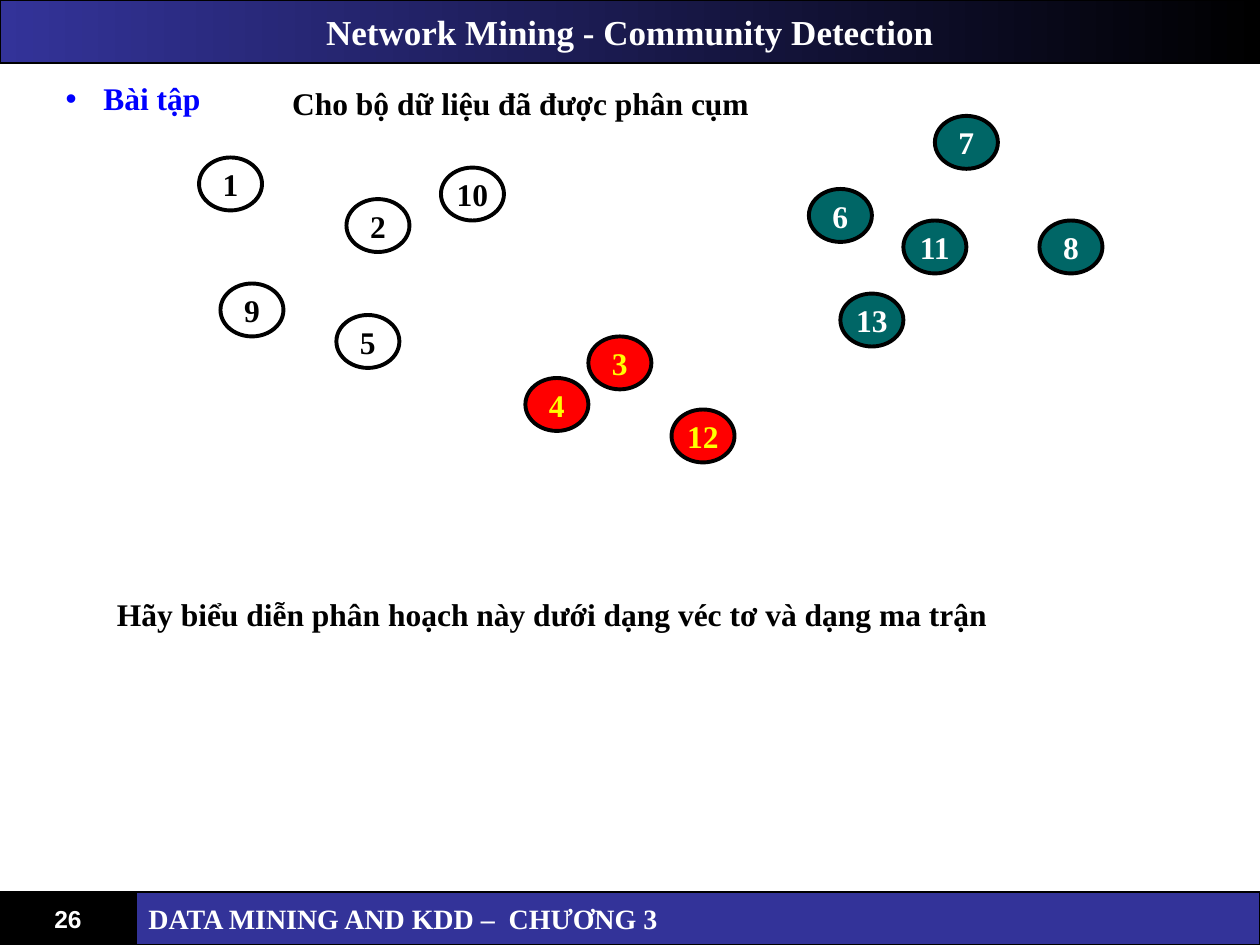
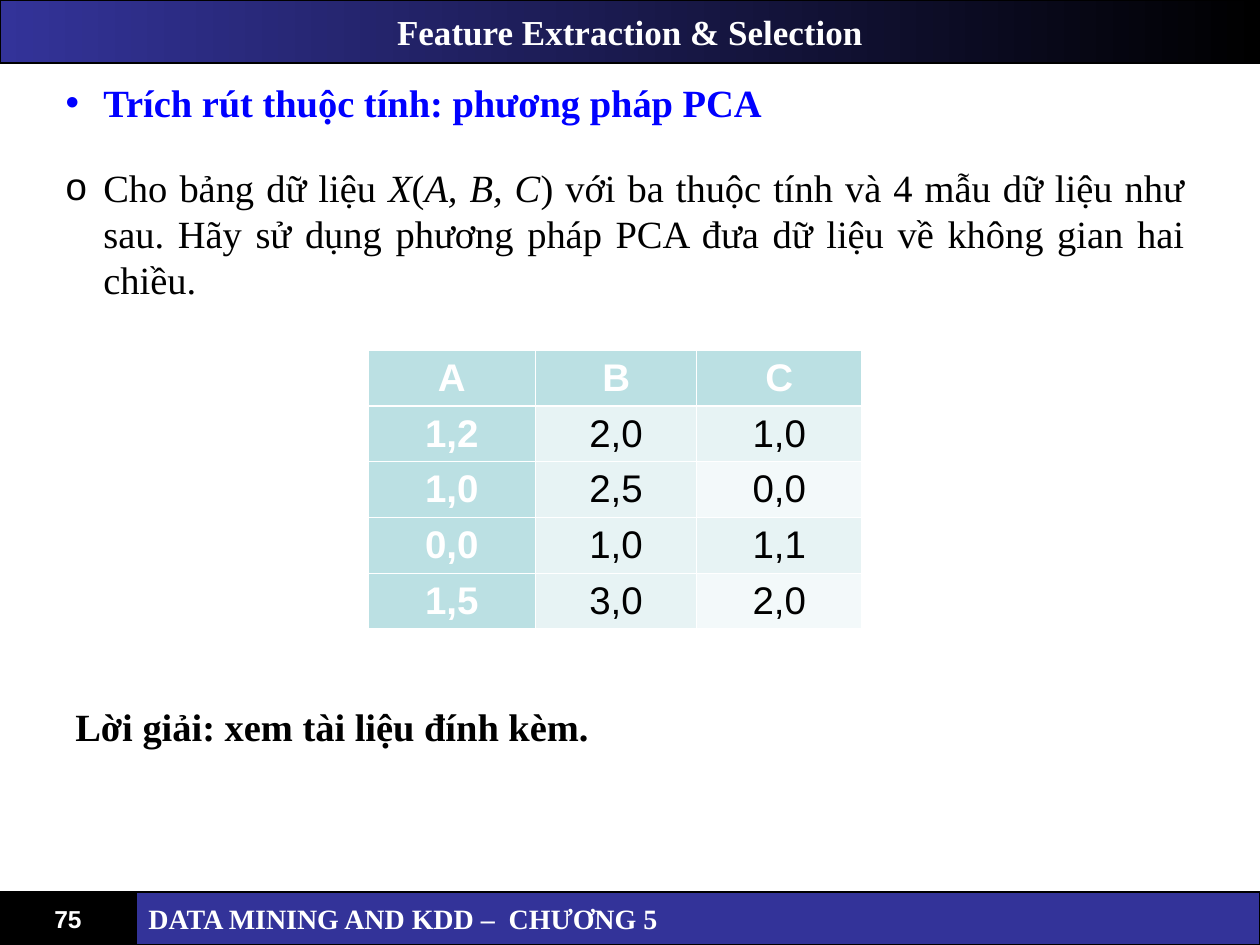
"""Build two data mining lecture slides: a clustering exercise and a PCA exercise."""
import pptx
import pptx.dml.color
import pptx.enum.shapes
import pptx.enum.text
import pptx.oxml.ns
import pptx.util
from lxml import etree

Inches = pptx.util.Inches
Pt = pptx.util.Pt
RGBColor = pptx.dml.color.RGBColor
ALIGN = pptx.enum.text.PP_ALIGN
ANCHOR = pptx.enum.text.MSO_ANCHOR
SHAPE = pptx.enum.shapes.MSO_SHAPE
qn = pptx.oxml.ns.qn

BLACK = RGBColor(0x00, 0x00, 0x00)
WHITE = RGBColor(0xFF, 0xFF, 0xFF)
INDIGO = RGBColor(0x33, 0x33, 0x99)
BLUE = RGBColor(0x00, 0x00, 0xFF)
RED = RGBColor(0xFF, 0x00, 0x00)
YELLOW = RGBColor(0xFF, 0xFF, 0x00)
TEAL = RGBColor(0x00, 0x66, 0x66)
TABLE_HEAD = RGBColor(0xBB, 0xE0, 0xE3)
TABLE_BAND = RGBColor(0xE7, 0xF3, 0xF4)
TABLE_PLAIN = RGBColor(0xF3, 0xF9, 0xFA)
SERIF = "Times New Roman"
SANS = "Arial"
BULLET_INDENT = Inches(0.3)


def write(frame, text, size=18, font=SERIF, color=BLACK, bold=True, align=ALIGN.LEFT,
          anchor=ANCHOR.TOP, wrap=True, bullet=None):
    """Fill a text frame with one paragraph; text between asterisks is italic."""
    frame.auto_size = pptx.enum.text.MSO_AUTO_SIZE.NONE
    frame.word_wrap = wrap
    frame.vertical_anchor = anchor
    paragraph = frame.paragraphs[0]
    if bullet:
        properties = paragraph._p.get_or_add_pPr()
        properties.set("marL", str(BULLET_INDENT))
        properties.set("indent", str(-BULLET_INDENT))
        bullet_color = etree.SubElement(properties, qn("a:buClr"))
        etree.SubElement(bullet_color, qn("a:srgbClr"), val=str(color))
        etree.SubElement(properties, qn("a:buFont"), typeface=SANS)
        etree.SubElement(properties, qn("a:buChar"), char=bullet)
    paragraph.alignment = align
    paragraph.space_before = Pt(0)
    for index, piece in enumerate(text.split("*")):
        run = paragraph.add_run()
        run.text = piece
        run.font.size = Pt(size)
        run.font.name = font
        run.font.bold = bold
        run.font.italic = index % 2 == 1
        run.font.color.rgb = color


def place(shape, left, top, width, height):
    """Move and size a shape, in inches."""
    shape.left, shape.top = Inches(left), Inches(top)
    shape.width, shape.height = Inches(width), Inches(height)


presentation = pptx.Presentation()
presentation.slide_width = Inches(10)
presentation.slide_height = Inches(7.5)

slides = []
for layout, number, title_text, chapter, heading, heading_size in [
    (1, "26", "Network Mining - Community Detection", 3, "Bài tập", 18),
    (3, "75", "Feature Extraction & Selection", 5, "Trích rút thuộc tính: phương pháp PCA", 22),
]:
    slide = presentation.slides.add_slide(presentation.slide_layouts[layout])
    slides.append(slide)

    title = slide.shapes.title
    place(title, 0, 0, 10, 0.5)
    title.fill.gradient()
    title.fill.gradient_angle = 0
    for stop, color in zip(title.fill.gradient_stops, (INDIGO, BLACK)):
        stop.color.rgb = color
    title.line.color.rgb = BLACK
    title.line.width = Pt(0.75)
    write(title.text_frame, title_text, size=20, color=WHITE,
          align=ALIGN.CENTER, anchor=ANCHOR.MIDDLE)

    body = slide.placeholders[1]
    place(body, 0.42, 0.58, 9.17, 0.47)
    write(body.text_frame, heading, size=heading_size, color=BLUE, bullet="•")

    for left, width, fill, text, size, font, align in [
        (0, 1.08, BLACK, number, 14, SANS, ALIGN.CENTER),
        (1.08, 8.92, INDIGO, f"DATA MINING AND KDD –  CHƯƠNG {chapter}", 16, SERIF, ALIGN.LEFT),
    ]:
        band = slide.shapes.add_shape(SHAPE.RECTANGLE, Inches(left), Inches(7.08),
                                      Inches(width), Inches(0.42))
        band.shadow.inherit = False
        band.fill.solid()
        band.fill.fore_color.rgb = fill
        band.line.color.rgb = BLACK
        band.line.width = Pt(0.75)
        write(band.text_frame, text, size=size, font=font, color=WHITE,
              align=align, anchor=ANCHOR.MIDDLE)

cluster_slide, pca_slide = slides

clusters = [
    (None, BLACK, {1: (1.58, 1.25), 9: (1.75, 2.25), 2: (2.75, 1.58),
                   10: (3.5, 1.33), 5: (2.67, 2.5)}),
    (RED, YELLOW, {12: (5.33, 3.25), 4: (4.17, 3), 3: (4.67, 2.67)}),
    (TEAL, WHITE, {13: (6.67, 2.33), 7: (7.42, 0.92), 6: (6.42, 1.5),
                   8: (8.25, 1.75), 11: (7.17, 1.75)}),
]
for fill, text_color, nodes in clusters:
    for label, (left, top) in nodes.items():
        node = cluster_slide.shapes.add_shape(SHAPE.OVAL, Inches(left), Inches(top),
                                              Inches(0.5), Inches(0.42))
        node.shadow.inherit = False
        if fill is None:
            node.fill.background()
        else:
            node.fill.solid()
            node.fill.fore_color.rgb = fill
        node.line.color.rgb = BLACK
        node.line.width = Pt(2.25)
        write(node.text_frame, str(label), color=text_color, align=ALIGN.CENTER,
              anchor=ANCHOR.MIDDLE, wrap=False)

for left, top, width, text in [
    (2.22, 0.62, 3.82, "Cho bộ dữ liệu đã được phân cụm"),
    (0.83, 4.67, 7.11, "Hãy biểu diễn phân hoạch này dưới dạng véc tơ và dạng ma trận"),
]:
    caption = cluster_slide.shapes.add_textbox(Inches(left), Inches(top),
                                               Inches(width), Inches(0.4))
    write(caption.text_frame, text, wrap=False)

exercise = pca_slide.placeholders[2]
place(exercise, 0.42, 1.25, 9.08, 1.2)
write(exercise.text_frame,
      "Cho bảng dữ liệu *X*(*A, B, C*) với ba thuộc tính và 4 mẫu dữ liệu như sau. "
      "Hãy sử dụng phương pháp PCA đưa dữ liệu về không gian hai chiều.",
      size=22, bold=False, align=ALIGN.JUSTIFY, anchor=ANCHOR.MIDDLE, bullet="o")

samples = [
    ("A", "B", "C"),
    ("1,2", "2,0", "1,0"),
    ("1,0", "2,5", "0,0"),
    ("0,0", "1,0", "1,1"),
    ("1,5", "3,0", "2,0"),
]
table = pca_slide.shapes.add_table(5, 3, Inches(2.92), Inches(2.78),
                                   Inches(3.92), Inches(2)).table
for column, width in zip(table.columns, (1.33, 1.28, 1.31)):
    column.width = Inches(width)
for row_index, sample in enumerate(samples):
    for column_index, value in enumerate(sample):
        cell = table.cell(row_index, column_index)
        is_head = row_index == 0 or column_index == 0
        borders = {"lnL": 0.45, "lnR": 0.45,
                   "lnT": 1.47 if row_index == 1 else 0.45,
                   "lnB": 1.47 if row_index == 0 else 0.45}
        properties = cell._tc.get_or_add_tcPr()
        for side, line_width in borders.items():
            border = etree.SubElement(properties, qn(f"a:{side}"), w=str(Pt(line_width)))
            border_fill = etree.SubElement(border, qn("a:solidFill"))
            etree.SubElement(border_fill, qn("a:srgbClr"), val=str(WHITE))
        cell.fill.solid()
        if is_head:
            cell.fill.fore_color.rgb = TABLE_HEAD
        elif column_index == 1 or row_index % 2 == 1:
            cell.fill.fore_color.rgb = TABLE_BAND
        else:
            cell.fill.fore_color.rgb = TABLE_PLAIN
        write(cell.text_frame, value, size=22, font=SANS, bold=is_head,
              color=WHITE if is_head else BLACK, align=ALIGN.CENTER)

solution = pca_slide.shapes.add_textbox(Inches(0.5), Inches(5.53), Inches(9), Inches(0.47))
write(solution.text_frame, "Lời giải: xem tài liệu đính kèm.", size=22,
      align=ALIGN.JUSTIFY, anchor=ANCHOR.MIDDLE)

presentation.save("out.pptx")
